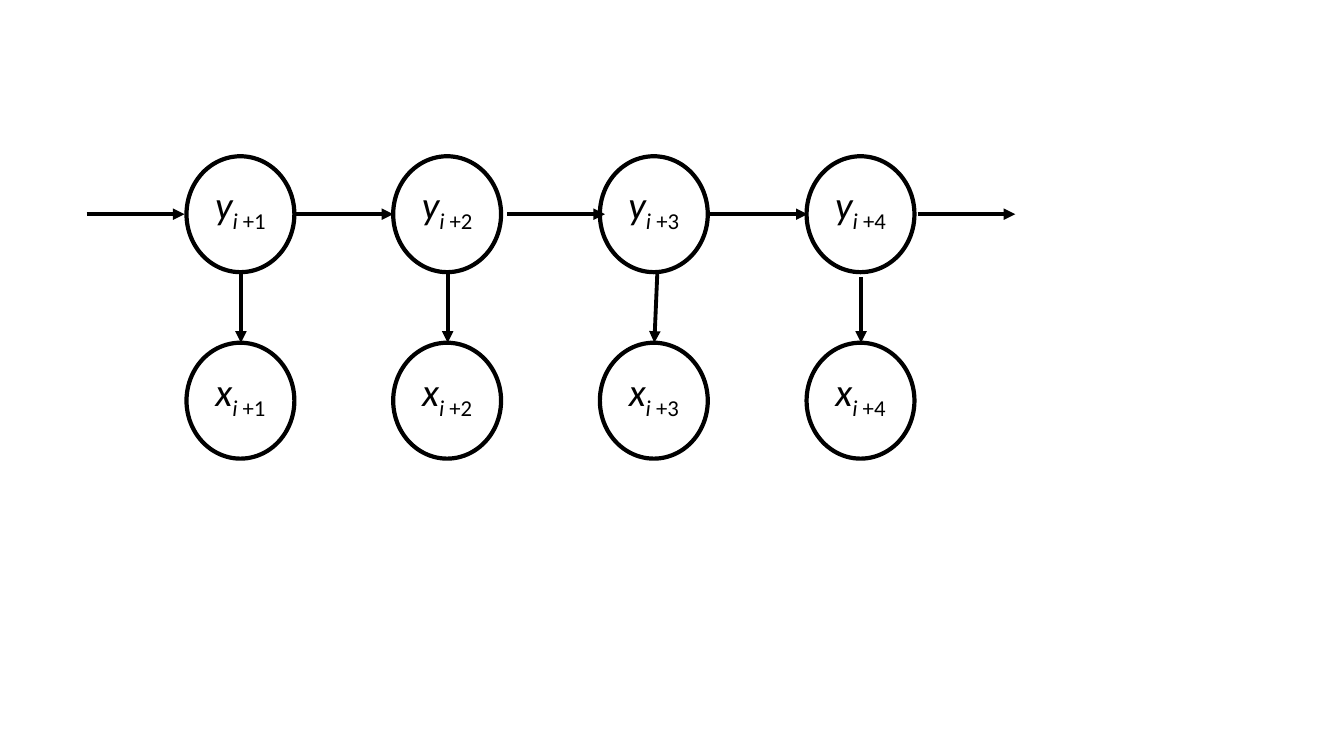
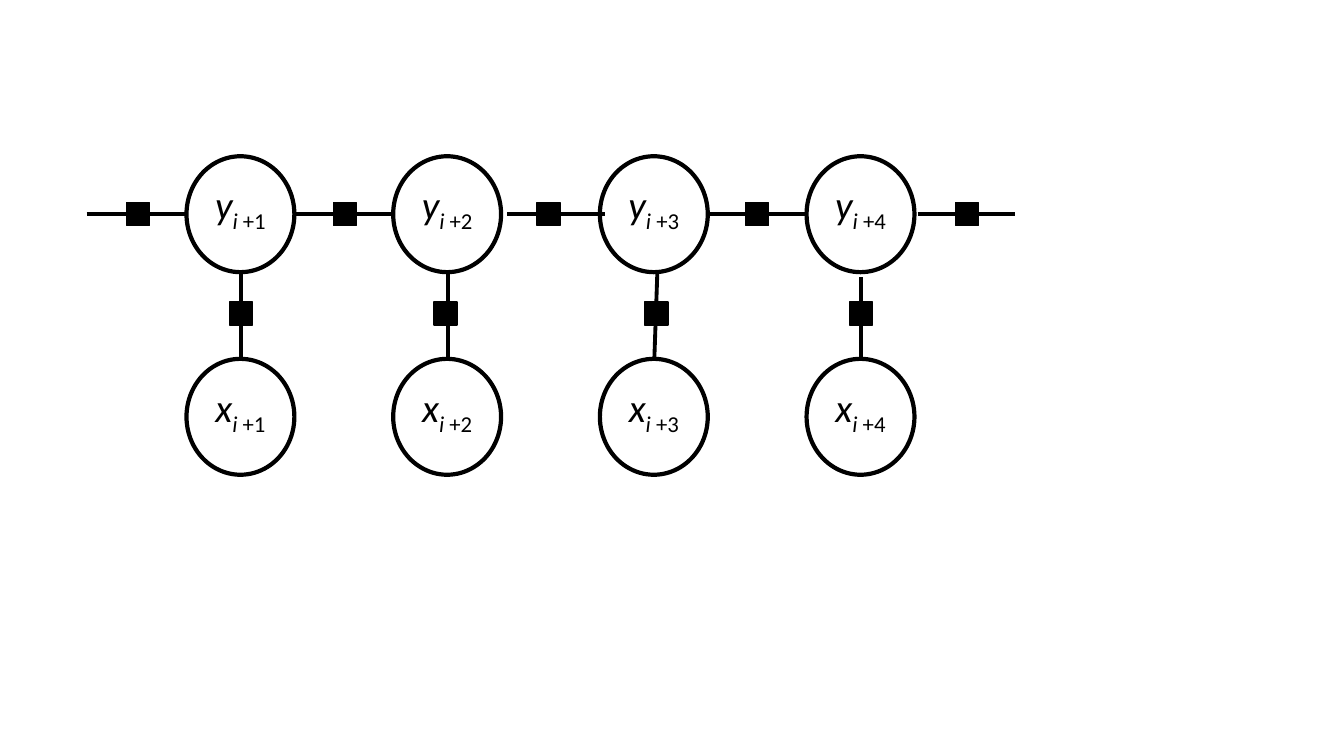
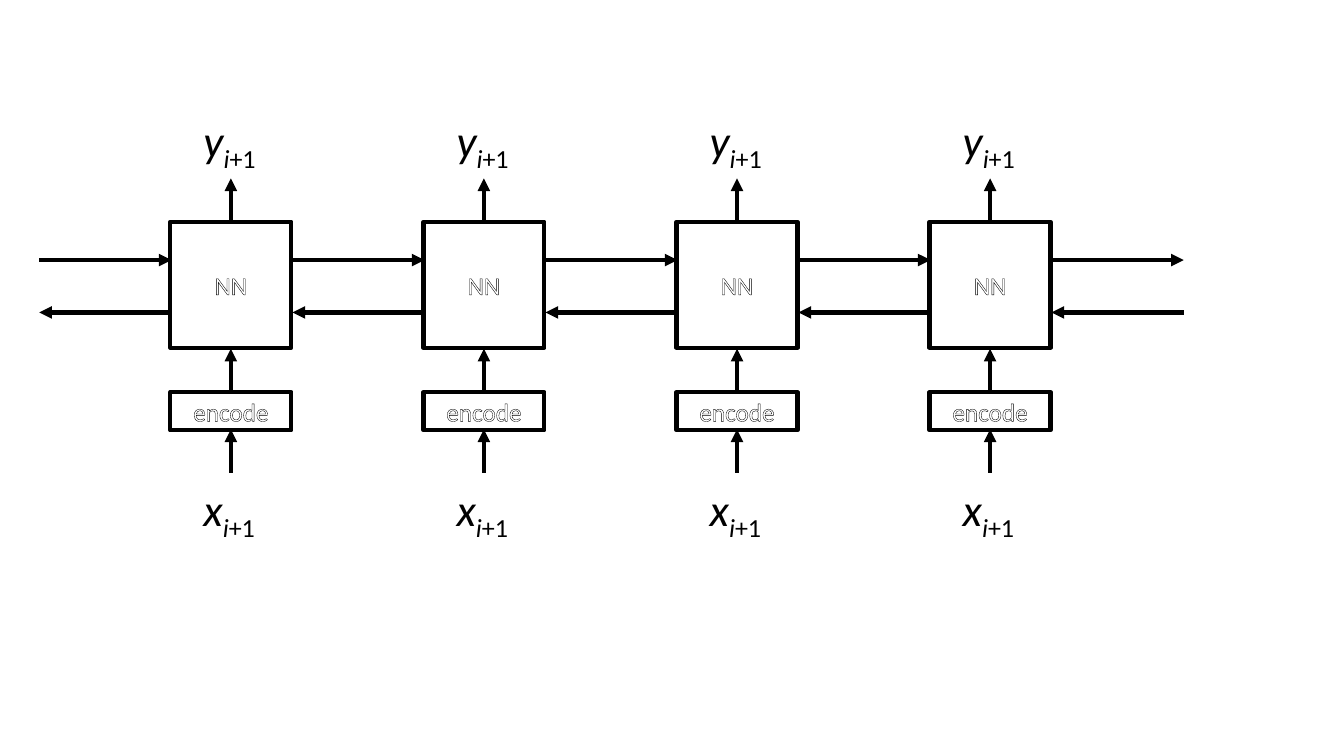
from lxml.etree import SubElement
from pptx import Presentation
from pptx.dml.color import RGBColor
from pptx.enum.shapes import MSO_CONNECTOR as Link, MSO_SHAPE as Preset
from pptx.enum.text import MSO_ANCHOR as Anchor, MSO_AUTO_SIZE as AutoSize, PP_ALIGN as Align
from pptx.oxml import parse_xml
from pptx.oxml.ns import nsdecls, qn
from pptx.util import Inches, Pt

COLORS = {"ink": "000000", "paper": "FFFFFF"}
FONT = "Calibri"
COUNT = 4
NODE_W, NODE_H, NODE_PITCH = 1.07, 1.15, 2.05
LINK_LENGTH = 0.97
LINK_STARTS = (0, 2.07, 4.17, 6.18, 8.24)
LINK_FACTORS = (0.51, 2.56, 4.58, 6.65, 8.73)
DROPS = ((1.53, 1.53, 0), (3.58, 3.58, 0), (5.66, 5.63, 0), (7.68, 7.68, 0.05))
DROP_FACTORS = (1.53, 3.56, 5.65, 7.68)
FACTOR = 0.23
CELL_W, CELL_PITCH = 1.2, 2.51


def color(name):
    return RGBColor.from_string(COLORS[name])


def add_run(paragraph, text, size, ink="ink", italic=False, subscript=False):
    run = paragraph.add_run()
    run.text = text
    font = run.font
    font.name, font.size, font.italic = FONT, Pt(size), italic
    font.color.rgb = color(ink)
    if subscript:
        font._element.set("baseline", "-25000")
    return run


def add_variable(paragraph, symbol, index, offset, size):
    add_run(paragraph, symbol, size, italic=True)
    add_run(paragraph, index, size, italic=True, subscript=True)
    add_run(paragraph, offset, size, subscript=True)


def add_outlined(paragraph, text):
    run = add_run(paragraph, text, 18, "paper")
    outline = parse_xml(
        f'<a:ln {nsdecls("a")} w="9525"><a:solidFill>'
        f'<a:srgbClr val="{COLORS["ink"]}"/></a:solidFill></a:ln>'
    )
    run.font._element.insert(0, outline)


def add_block(canvas, preset, left, top, width, height, weight=3, filled=False):
    block = canvas.add_shape(preset, Inches(left), Inches(top), Inches(width), Inches(height))
    block.shadow.inherit = False
    if filled:
        block.fill.solid()
        block.fill.fore_color.rgb = color("ink")
    else:
        block.fill.background()
    block.line.color.rgb = color("ink")
    block.line.width = Pt(weight)
    frame = block.text_frame
    frame.vertical_anchor = Anchor.MIDDLE
    frame.margin_left = frame.margin_right = 0
    frame.margin_top = frame.margin_bottom = 0
    paragraph = frame.paragraphs[0]
    paragraph.alignment = Align.CENTER
    return paragraph


def add_link(canvas, x1, y1, x2, y2, weight=2.75, arrow=True):
    link = canvas.add_connector(Link.STRAIGHT, Inches(x1), Inches(y1), Inches(x2), Inches(y2))
    link.line.color.rgb = color("ink")
    link.line.width = Pt(weight)
    if arrow:
        SubElement(link.line._get_or_add_ln(), qn("a:tailEnd"), type="triangle")
    SubElement(link._element.spPr, qn("a:effectLst"))


def add_node_row(canvas, symbol, left, top):
    for i in range(COUNT):
        paragraph = add_block(canvas, Preset.OVAL, left + i * NODE_PITCH, top, NODE_W, NODE_H)
        paragraph.line_spacing = Pt(28.6)
        add_variable(paragraph, symbol, "i ", f"+{i + 1}", 28)


def add_factors(canvas, centers, left, middle):
    for center in centers:
        add_block(canvas, Preset.RECTANGLE, left + center - FACTOR / 2, middle - FACTOR / 2,
                  FACTOR, FACTOR, weight=1, filled=True)


def add_chain(slide, left, top, drop, directed):
    canvas = slide.shapes.add_group_shape().shapes
    chain_y = top + NODE_H / 2
    drop_y = top + NODE_H
    add_node_row(canvas, "y", left + 0.99, top)
    for start in LINK_STARTS:
        add_link(canvas, left + start, chain_y, left + start + LINK_LENGTH, chain_y, arrow=directed)
    add_node_row(canvas, "x", left + 0.99, drop_y + drop)
    for start, end, gap in DROPS:
        add_link(canvas, left + start, drop_y + gap, left + end, drop_y + drop, arrow=directed)
    if not directed:
        add_factors(canvas, LINK_FACTORS, left, chain_y)
        add_factors(canvas, DROP_FACTORS, left, drop_y + drop / 2 - 0.02)


def add_symbol(canvas, symbol, left, top):
    box = canvas.add_textbox(Inches(left), Inches(top), Inches(0.77), Inches(0.64))
    box.text_frame.word_wrap = False
    box.text_frame.auto_size = AutoSize.SHAPE_TO_FIT_TEXT
    add_variable(box.text_frame.paragraphs[0], symbol, "i", "+1", 32)


def add_cell_column(canvas, left, top):
    for label, offset, height in (("NN", 1.13, 1.25), ("encode", 2.82, 0.38)):
        paragraph = add_block(canvas, Preset.RECTANGLE, left, top + offset, CELL_W, height)
        add_outlined(paragraph, label)
    center = left + CELL_W / 2
    for start in (2.82, 3.62, 1.13):
        add_link(canvas, center, top + start, center, top + start - 0.43, weight=3)
    for symbol, offset in (("x", 3.66), ("y", 0)):
        add_symbol(canvas, symbol, left + 0.23, top + offset)


def add_network(slide, left, top):
    canvas = slide.shapes.add_group_shape().shapes
    for i in range(COUNT):
        add_cell_column(canvas, left + 1.3 + i * CELL_PITCH, top)
    for i in range(COUNT + 1):
        start = left + i * CELL_PITCH
        end = start + CELL_PITCH - CELL_W
        add_link(canvas, start, top + 1.51, end, top + 1.51, weight=3)
        add_link(canvas, end, top + 2.03, start, top + 2.03, weight=3)


def main():
    deck = Presentation()
    deck.slide_width, deck.slide_height = Inches(13.33), Inches(7.5)
    blank = deck.slide_layouts[6]
    add_chain(deck.slides.add_slide(blank), 0.86, 1.55, drop=0.7, directed=True)
    add_chain(deck.slides.add_slide(blank), 0.86, 1.55, drop=0.86, directed=False)
    add_network(deck.slides.add_slide(blank), 0.39, 1.07)
    deck.save("out.pptx")


if __name__ == "__main__":
    main()
